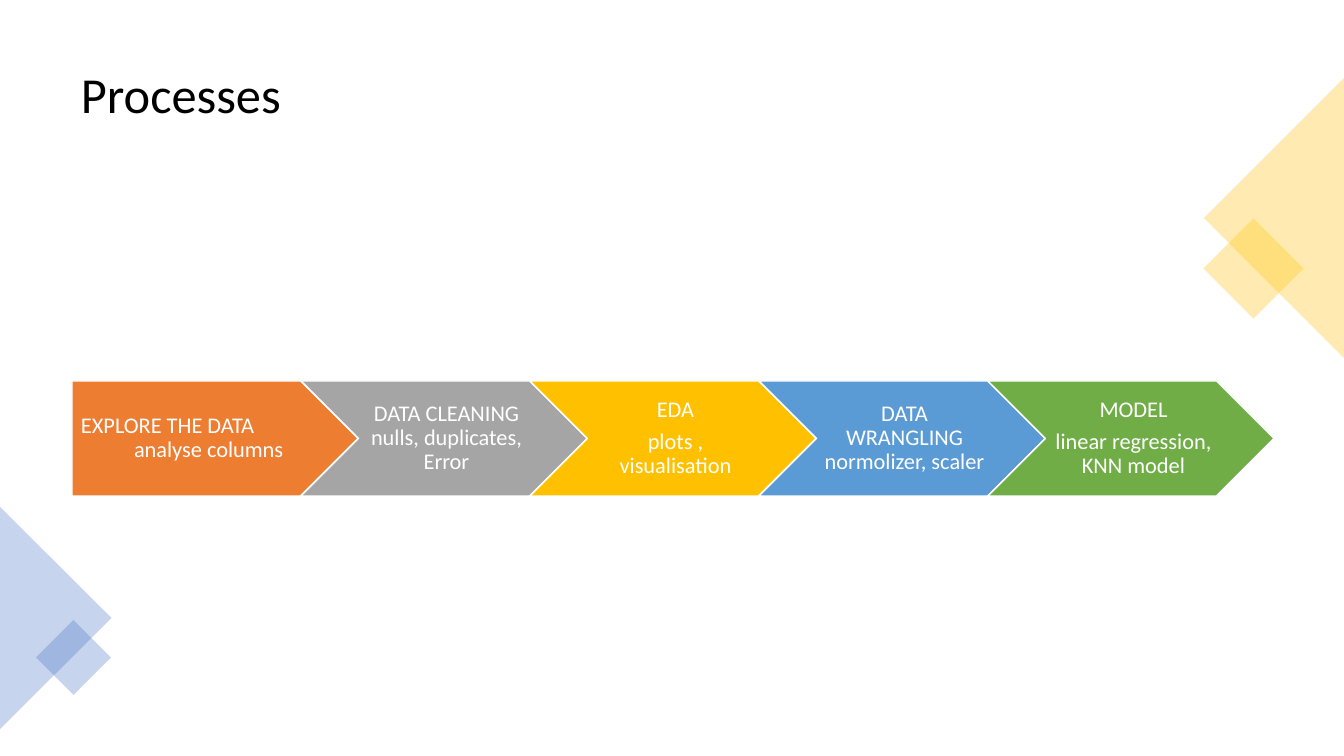
from lxml.etree import SubElement
from pptx import Presentation
from pptx.dml.color import RGBColor
from pptx.enum.shapes import MSO_SHAPE
from pptx.enum.text import MSO_ANCHOR, PP_ALIGN
from pptx.oxml.ns import qn
from pptx.util import Emu, Pt

EMU_PER_PX = 914400 / 100.8
FONT = "Calibri"
WHITE, BLACK = "FFFFFF", "000000"
GOLD, BLUE = "FFC000", "4472C4"

STEP_LEFT, STEP_TOP, STEP_WIDTH, STEP_HEIGHT, STEP_PITCH = 72, 381, 286, 115, 229
STEPS = [
    ("ED7D31", ["EXPLORE THE DATA analyse columns"]),
    ("A5A5A5", ["DATA CLEANING nulls, duplicates, Error"]),
    ("FFC000", ["EDA", "plots , visualisation"]),
    ("5B9BD5", ["DATA WRANGLING normolizer, scaler"]),
    ("70AD47", ["MODEL", "linear regression, KNN model"]),
]

# Preset, left, top, width, height, rotation, colour
DECORATIONS = [
    (MSO_SHAPE.RECTANGLE, 1218, 233, 71, 71, 45, GOLD),
    (MSO_SHAPE.ISOSCELES_TRIANGLE, 1134, 148, 280, 140, 270, GOLD),
    (MSO_SHAPE.ISOSCELES_TRIANGLE, -56, 562, 223, 112, 90, BLUE),
    (MSO_SHAPE.RECTANGLE, 47, 631, 53, 53, 45, BLUE),
]


def px(value):
    return Emu(round(value * EMU_PER_PX))


def color(hex_string):
    return RGBColor.from_string(hex_string)


def write_text(shape, lines, *, size, font_color, align=PP_ALIGN.LEFT,
               insets=(10, 5, 10, 5), gap=0, hanging=0):
    frame = shape.text_frame
    frame.word_wrap = True
    frame.vertical_anchor = MSO_ANCHOR.MIDDLE
    (frame.margin_left, frame.margin_top,
     frame.margin_right, frame.margin_bottom) = map(px, insets)
    for index, line in enumerate(lines):
        paragraph = frame.paragraphs[0] if index == 0 else frame.add_paragraph()
        paragraph.alignment = align
        paragraph.line_spacing = 0.9
        if index:
            paragraph.space_before = Pt(gap)
        if hanging:
            properties = paragraph._p.get_or_add_pPr()
            properties.set("marL", str(px(hanging)))
            properties.set("indent", str(-px(hanging)))
        run = paragraph.add_run()
        run.text = line
        run.font.name = FONT
        run.font.size = Pt(size)
        run.font.color.rgb = color(font_color)


def add_filled_shape(slide, preset, left, top, width, height, fill):
    shape = slide.shapes.add_shape(preset, px(left), px(top), px(width), px(height))
    shape.shadow.inherit = False
    shape.fill.solid()
    shape.fill.fore_color.rgb = color(fill)
    return shape


def add_decoration(slide, preset, left, top, width, height, rotation, fill):
    shape = add_filled_shape(slide, preset, left, top, width, height, fill)
    shape.rotation = rotation
    shape.line.fill.background()
    fill_color = shape._element.spPr.find(f"{qn('a:solidFill')}/{qn('a:srgbClr')}")
    SubElement(fill_color, qn("a:alpha"), val="30000")


def add_step(slide, index, fill, lines):
    first = index == 0
    preset = MSO_SHAPE.PENTAGON if first else MSO_SHAPE.CHEVRON
    shape = add_filled_shape(slide, preset, STEP_LEFT + index * STEP_PITCH, STEP_TOP,
                             STEP_WIDTH, STEP_HEIGHT, fill)
    shape.line.color.rgb = color(WHITE)
    shape.line.width = Pt(1)
    # The first step is left-aligned with its second line indented
    write_text(shape, lines, size=16, font_color=WHITE, gap=5.6,
               align=PP_ALIGN.LEFT if first else PP_ALIGN.CENTER,
               insets=(9, 5, 40, 5) if first else (7, 5, 2, 5),
               hanging=53 if first else 0)


def add_title(slide, text):
    title = slide.shapes.add_textbox(px(71), px(35), px(1203), px(125))
    write_text(title, [text], size=36, font_color=BLACK)


def main():
    presentation = Presentation()
    presentation.slide_width, presentation.slide_height = px(1344), px(756)
    slide = presentation.slides.add_slide(presentation.slide_layouts[6])

    add_title(slide, "Processes")

    # Translucent corner shapes
    for decoration in DECORATIONS:
        add_decoration(slide, *decoration)

    # Process arrow chain
    for index, (fill, lines) in enumerate(STEPS):
        add_step(slide, index, fill, lines)

    presentation.save("out.pptx")


if __name__ == "__main__":
    main()
